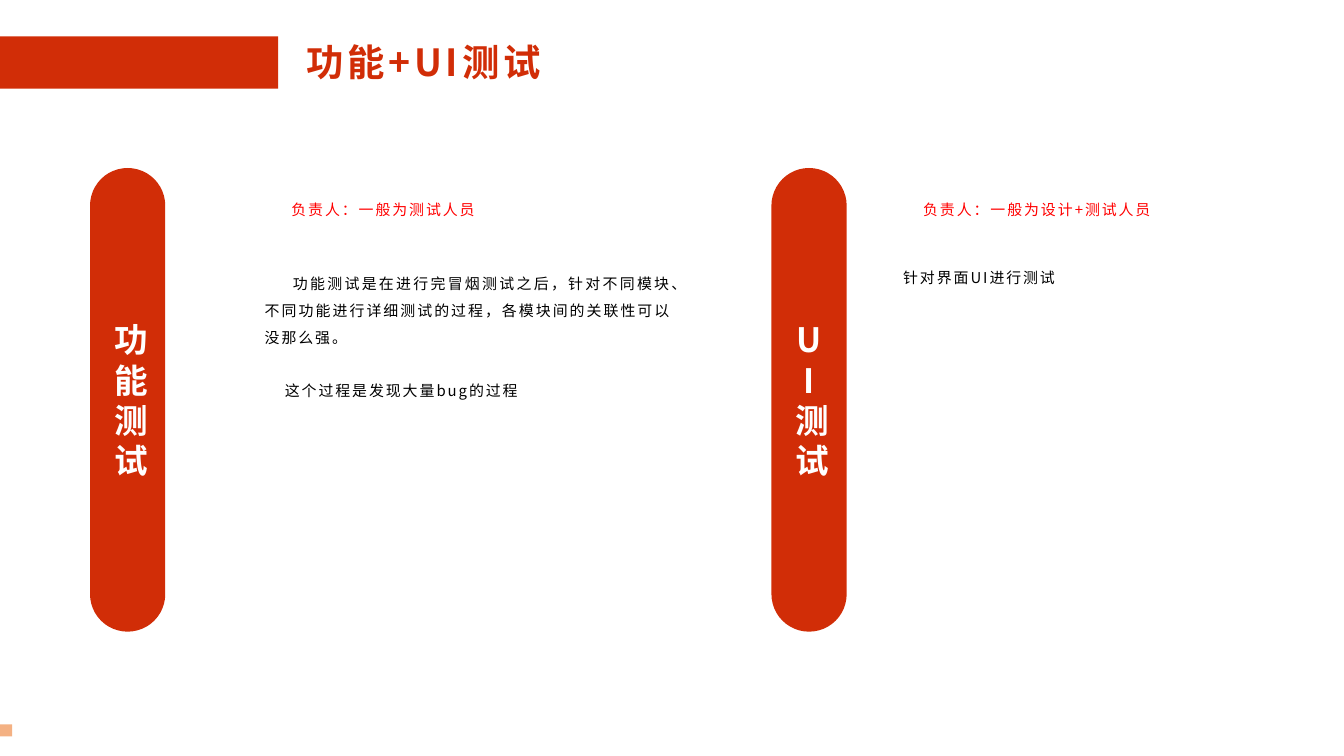
"""Build a slide that compares functional testing with UI testing."""
import pptx
import pptx.dml.color
import pptx.enum.shapes
import pptx.enum.text
import pptx.oxml.ns
import pptx.util

Inches = pptx.util.Inches
Pt = pptx.util.Pt
SHAPES = pptx.enum.shapes.MSO_SHAPE
ALIGN = pptx.enum.text.PP_ALIGN

FONT = "Noto Sans CJK SC"
COLORS = {"red": "D12D07", "owner": "FF0000", "body": "000000", "white": "FFFFFF", "peach": "F4B183"}

TITLE = "功能+UI测试"
BARS = [((0, 0.27, 2.07, 0.39), "red"), ((0, 5.39, 0.09, 0.09), "peach")]
SECTIONS = [
    {
        "name": "功能测试", "pill_left": 0.67,
        "owner": "负责人：一般为测试人员", "owner_left": 2.07,
        "body_at": (1.97, 1.98),
        "body": [
            ("功能测试是在进行完冒烟测试之后，针对不同模块、不同功能进行详细测试的过程，各模块间的关联性可以没那么强。", 0.21),
            ("这个过程是发现大量bug的过程", 0.15),
        ],
    },
    {
        "name": "UI测试", "pill_left": 5.74,
        "owner": "负责人：一般为设计+测试人员", "owner_left": 6.77,
        "body_at": (6.53, 1.93),
        "body": [("针对界面UI进行测试", 0.19)],
    },
]


def rgb(name):
    return pptx.dml.color.RGBColor.from_string(COLORS[name])


def add_run(paragraph, text, size, color, bold=False, spacing=0):
    run = paragraph.add_run()
    run.text = text
    run.font.size = Pt(size)
    run.font.bold = bold
    run.font.color.rgb = rgb(color)
    run.font.name = FONT
    properties = run.font._element
    east_asian = properties.makeelement(pptx.oxml.ns.qn("a:ea"), {"typeface": FONT})
    properties.find(pptx.oxml.ns.qn("a:latin")).addnext(east_asian)
    if spacing:
        properties.set("spc", str(spacing * 100))


def add_block(slide, kind, box, color):
    shape = slide.shapes.add_shape(kind, *map(Inches, box))
    shape.shadow.inherit = False
    shape.fill.solid()
    shape.fill.fore_color.rgb = rgb(color)
    shape.line.fill.background()
    return shape


def add_text_frame(slide, box):
    frame = slide.shapes.add_textbox(*map(Inches, box)).text_frame
    frame.word_wrap = True
    return frame


def add_label(slide, box, text, size, color, bold, spacing):
    frame = add_text_frame(slide, box)
    frame.auto_size = pptx.enum.text.MSO_AUTO_SIZE.SHAPE_TO_FIT_TEXT
    add_run(frame.paragraphs[0], text, size, color, bold, spacing)


def add_pill(slide, left, text):
    pill = add_block(slide, SHAPES.ROUNDED_RECTANGLE, (left, 1.25, 0.56, 3.45), "red")
    pill.adjustments[0] = 0.5
    frame = pill.text_frame
    frame.word_wrap = True
    frame.vertical_anchor = pptx.enum.text.MSO_ANCHOR.MIDDLE
    frame.paragraphs[0].alignment = ALIGN.CENTER
    add_run(frame.paragraphs[0], text, 18, "white", bold=True)


def add_body(slide, position, paragraphs):
    frame = add_text_frame(slide, (*position, 3.03, 1.92))
    frame.margin_left = frame.margin_top = frame.margin_right = frame.margin_bottom = 0
    for index, (text, indent) in enumerate(paragraphs):
        paragraph = frame.add_paragraph() if index else frame.paragraphs[0]
        paragraph.alignment = ALIGN.JUSTIFY
        paragraph.line_spacing = 1.5
        if index:
            paragraph.space_before = Pt(14)
        paragraph._p.get_or_add_pPr().set("indent", str(Inches(indent)))
        add_run(paragraph, text, 8, "body", spacing=1)


def main():
    presentation = pptx.Presentation()
    presentation.slide_width = Inches(10)
    presentation.slide_height = presentation.slide_width * 9 // 16
    slide = presentation.slides.add_slide(presentation.slide_layouts[6])
    for box, color in BARS:
        add_block(slide, SHAPES.RECTANGLE, box, color)
    add_label(slide, (2.18, 0.24, 2.47, 0.44), TITLE, 20, "red", True, 2)
    for section in SECTIONS:
        add_pill(slide, section["pill_left"], section["name"])
        owner_box = (section["owner_left"], 1.44, 2.18, 0.23)
        add_label(slide, owner_box, section["owner"], 8, "owner", False, 1)
        add_body(slide, section["body_at"], section["body"])
    presentation.save("out.pptx")


if __name__ == "__main__":
    main()
